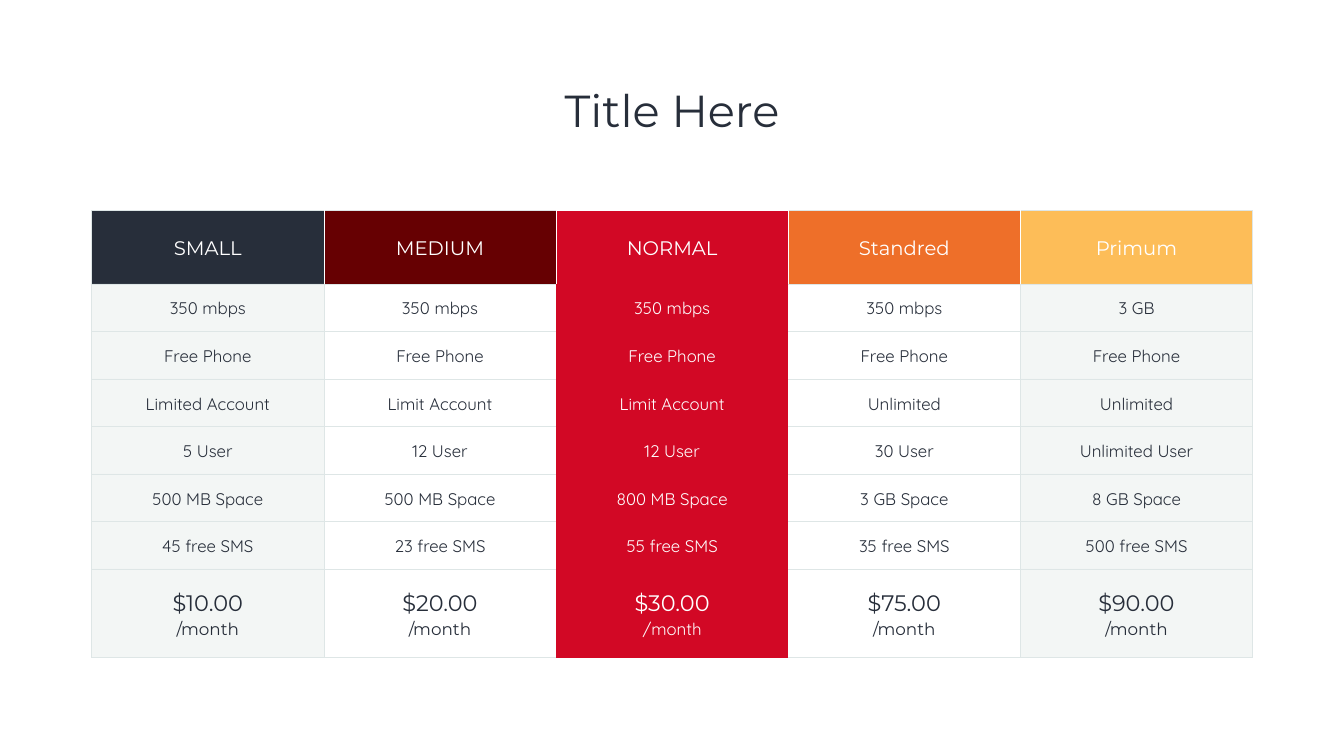
from lxml.etree import SubElement
from pptx import Presentation
from pptx.dml.color import RGBColor
from pptx.enum.text import MSO_ANCHOR, PP_ALIGN
from pptx.oxml.ns import qn
from pptx.util import Pt

DARK, WHITE, RED, GRID, PALE = "272E3A", "FFFFFF", "D20825", "DEE6E6", "E9EFED"
HEADING, BODY = "Montserrat", "Quicksand"
FEATURED = 2  # the highlighted plan

plans = [
    ("SMALL", DARK, ["350 mbps", "Free Phone", "Limited Account", "5 User",
                     "500 MB Space", "45 free SMS"], "$10.00"),
    ("MEDIUM", "660002", ["350 mbps", "Free Phone", "Limit Account", "12 User",
                          "500 MB Space", "23 free SMS"], "$20.00"),
    ("NORMAL", RED, ["350 mbps", "Free Phone", "Limit Account", "12 User",
                     "800 MB Space", "55 free SMS"], "$30.00"),
    ("Standred", "EE6F29", ["350 mbps", "Free Phone", "Unlimited", "30 User",
                            "3 GB Space", "35 free SMS"], "$75.00"),
    ("Primum", "FDBD58", ["3 GB", "Free Phone", "Unlimited", "Unlimited User",
                          "8 GB Space", "500 free SMS"], "$90.00"),
]
row_heights = [104.5] + [67.9] * 6 + [126.8]
column_width = 331.7


def write(frame, text, size=24, font=BODY, color=DARK, spacing=1.1, first=True):
    para = frame.paragraphs[0] if first else frame.add_paragraph()
    para.alignment = PP_ALIGN.CENTER
    para.line_spacing = spacing
    span = para.add_run()
    span.text = text
    span.font.size = Pt(size)
    span.font.name = font
    span.font.color.rgb = RGBColor.from_string(color)


def set_borders(cell, **colors):
    properties = cell._tc.get_or_add_tcPr()
    for side in "LRTB":
        line = SubElement(properties, qn(f"a:ln{side}"), w=str(Pt(1)))
        if colors.get(side):
            fill = SubElement(line, qn("a:solidFill"))
            SubElement(fill, qn("a:srgbClr"), val=colors[side])
        else:
            SubElement(line, qn("a:noFill"))


deck = Presentation()
deck.slide_width, deck.slide_height = Pt(1920), Pt(1080)
page = deck.slides.add_slide(deck.slide_layouts[6])

# Title
box = page.shapes.add_textbox(Pt(132), Pt(57.6), Pt(1656), Pt(208.8))
box.text_frame.word_wrap = True
box.text_frame.vertical_anchor = MSO_ANCHOR.MIDDLE
write(box.text_frame, "Title Here", size=64, font=HEADING, spacing=0.9)

# Pricing table
table = page.shapes.add_table(
    len(row_heights), len(plans), Pt(131), Pt(301),
    Pt(column_width * len(plans)), Pt(sum(row_heights))).table
table.first_row = table.horz_banding = False
for row, height in zip(table.rows, row_heights):
    row.height = Pt(height)
for column in table.columns:
    column.width = Pt(column_width)

last_row, last_column = len(row_heights) - 1, len(plans) - 1
for c, (name, accent, features, price) in enumerate(plans):
    featured = c == FEATURED
    color = WHITE if featured else DARK
    for r in range(len(row_heights)):
        cell = table.cell(r, c)
        cell.vertical_anchor = MSO_ANCHOR.MIDDLE
        cell.margin_left = cell.margin_right = cell.margin_top = cell.margin_bottom = 0

        # Borders: white between headings, none around the featured plan
        level = None if featured else GRID
        if r == 0:
            left = GRID if c == 0 else WHITE
            right = GRID if c == last_column else WHITE
        else:
            left = None if c in (FEATURED, FEATURED + 1) else GRID
            right = None if c in (FEATURED, FEATURED - 1) else GRID
        set_borders(cell, L=left, R=right, T=level, B=level)

        # Fill: accent heading, pale outer columns
        if r == 0 or featured:
            cell.fill.solid()
            cell.fill.fore_color.rgb = RGBColor.from_string(accent)
        elif c in (0, last_column):
            cell.fill.solid()
            cell.fill.fore_color.rgb = RGBColor.from_string(PALE)
            shade = cell._tc.tcPr.find(qn("a:solidFill")).find(qn("a:srgbClr"))
            SubElement(shade, qn("a:alpha"), val="50000")
        else:
            cell.fill.background()

        # Text
        if r == 0:
            write(cell.text_frame, name, size=28, font=HEADING, color=WHITE)
        elif r == last_row:
            write(cell.text_frame, price, size=32, font=HEADING, color=color)
            write(cell.text_frame, "/month", font=BODY if featured else HEADING,
                  color=color, first=False)
        else:
            write(cell.text_frame, features[r - 1], color=color)

deck.save("out.pptx")
